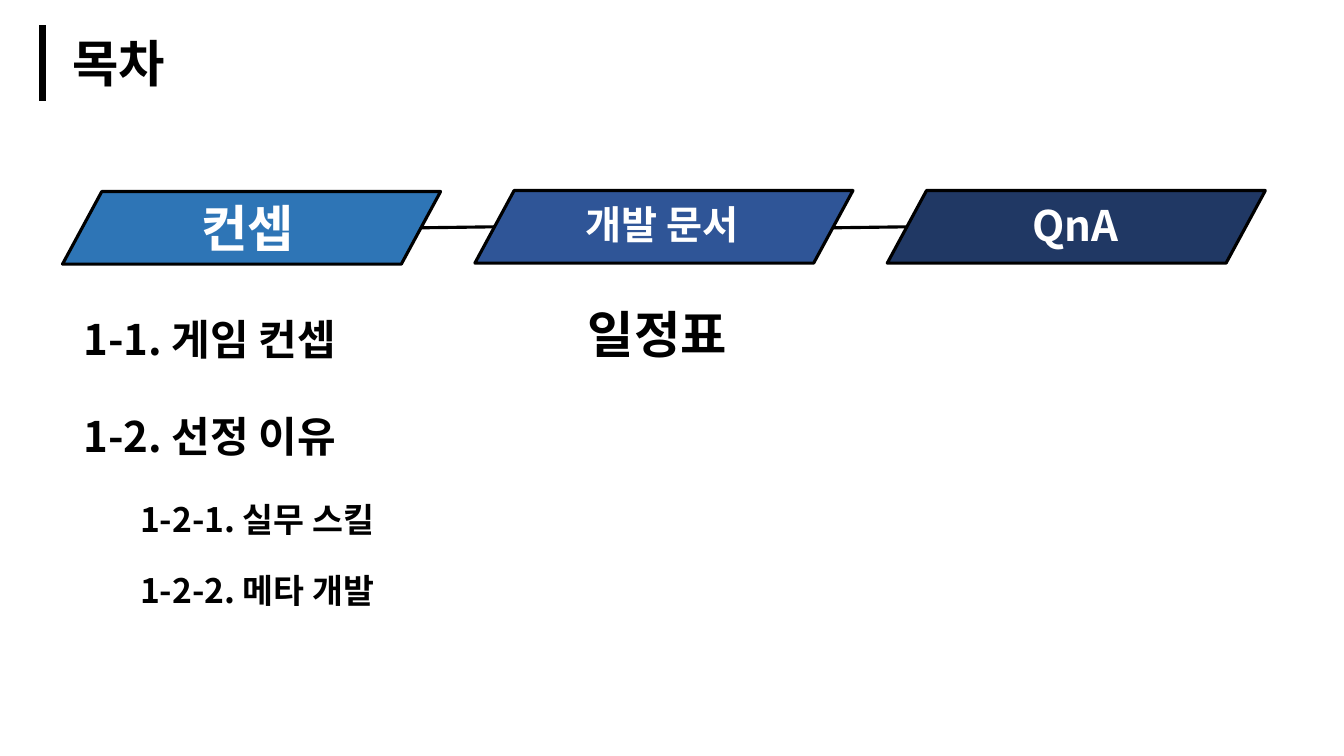
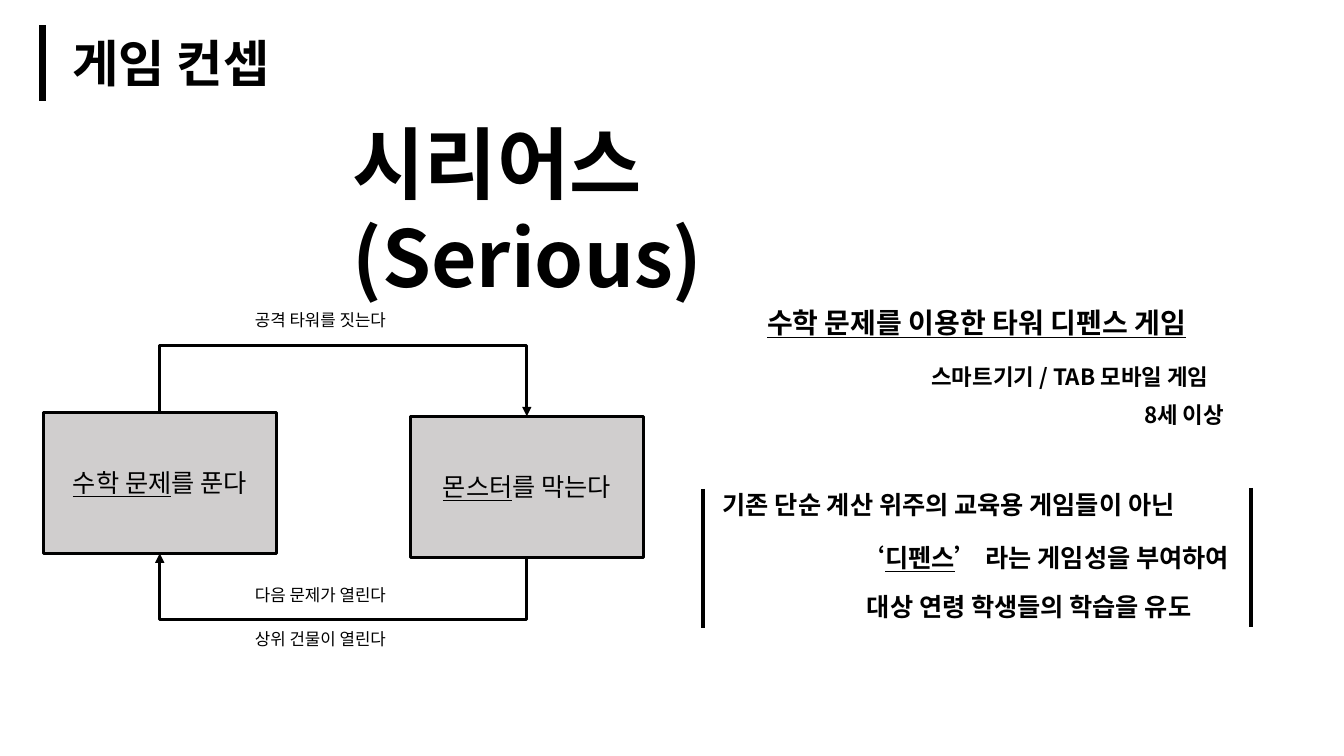
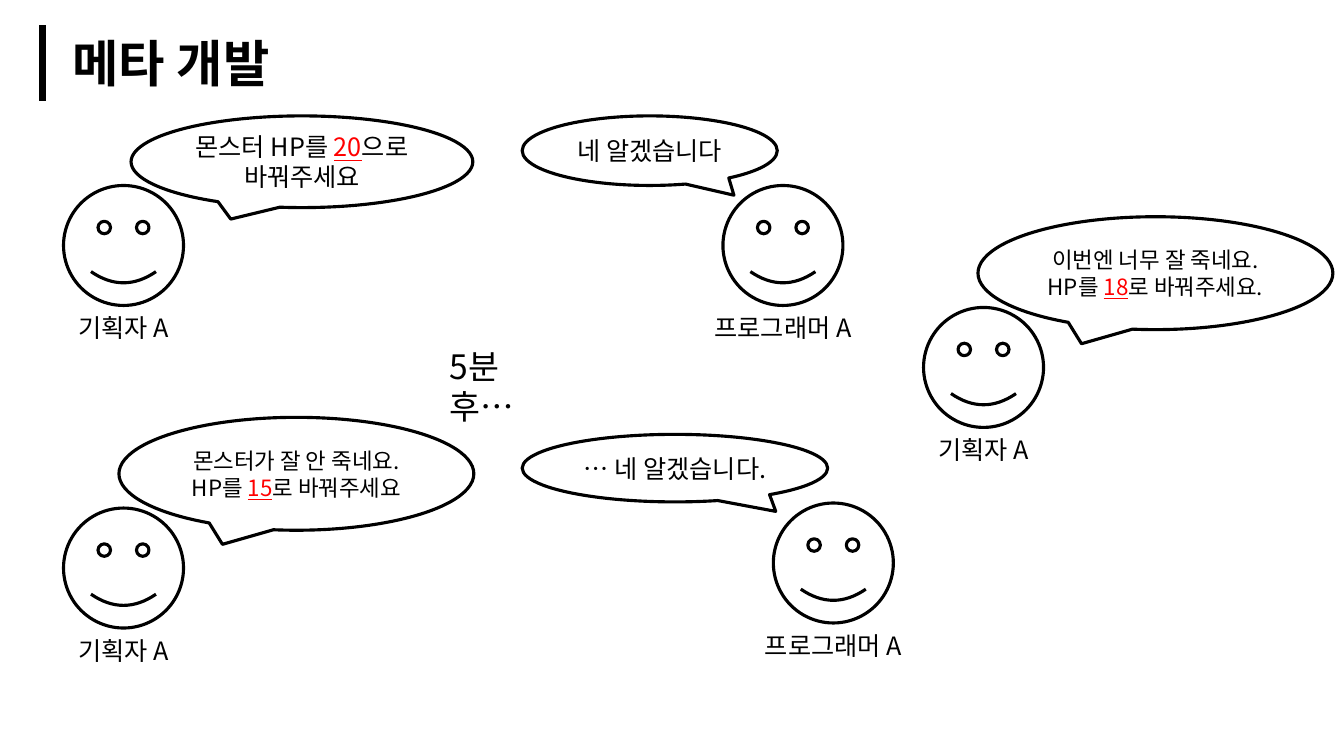
from pptx import Presentation
from pptx.dml.color import RGBColor
from pptx.enum.shapes import MSO_CONNECTOR as LINE, MSO_SHAPE as SHAPE
from pptx.enum.text import MSO_ANCHOR as ANCHOR, PP_ALIGN as ALIGN
from pptx.oxml.ns import qn
from pptx.util import Inches, Pt
from lxml.etree import SubElement

BLACK = RGBColor(0, 0, 0)
WHITE = RGBColor(255, 255, 255)
RED = RGBColor(255, 0, 0)
GRAY = RGBColor(0xD0, 0xCE, 0xCE)
STAGE_BLUES = (RGBColor(0x2E, 0x75, 0xB6), RGBColor(0x2F, 0x55, 0x97),
               RGBColor(0x20, 0x38, 0x64))
BODY_FONT = "Noto Sans CJK KR"
TITLE_FONT = "Montserrat"
OUTLINE = 2.25


def write(frame, lines, size, color=BLACK, bold=False, font=BODY_FONT,
          align=ALIGN.LEFT, accent=None):
    """Fill a frame; each line is a list of pieces, and (piece,) is underlined."""
    frame.word_wrap = True
    for index, pieces in enumerate(lines):
        paragraph = frame.paragraphs[0] if index == 0 else frame.add_paragraph()
        paragraph.alignment = align
        for piece in pieces:
            marked = isinstance(piece, tuple)
            run = paragraph.add_run()
            run.text = piece[0] if marked else piece
            run.font.size = Pt(size)
            run.font.bold = bold
            run.font.underline = marked
            run.font.color.rgb = accent if marked and accent else color
            run.font.name = font
            SubElement(run.font._element, qn("a:ea")).set("typeface", BODY_FONT)


def label(slide, box, pieces, size, **style):
    """Place one text box holding a single paragraph."""
    frame = slide.shapes.add_textbox(*map(Inches, box)).text_frame
    write(frame, [pieces], size, **style)


def outlined(slide, kind, box, fill=None, adjustments=()):
    """Place a black-outlined preset shape, hollow unless a fill is given."""
    shape = slide.shapes.add_shape(kind, *map(Inches, box))
    shape.shadow.inherit = False
    for index, value in enumerate(adjustments):
        shape.adjustments[index] = value
    if fill is None:
        shape.fill.background()
    else:
        shape.fill.solid()
        shape.fill.fore_color.rgb = fill
    shape.line.color.rgb = BLACK
    shape.line.width = Pt(OUTLINE)
    return shape


def line(slide, start, end, width=OUTLINE, kind=LINE.STRAIGHT):
    """Draw a black connector without a shadow."""
    connector = slide.shapes.add_connector(kind, *map(Inches, (*start, *end)))
    connector.line.color.rgb = BLACK
    connector.line.width = Pt(width)
    SubElement(connector._element.spPr, qn("a:effectLst"))
    return connector


def loop_arrow(slide, start, end, reach, angle):
    """Draw a U-shaped arrow that reaches past its start, turned by angle."""
    (x1, y1), (x2, y2) = start, end
    rise, span = abs(y2 - y1), abs(x2 - x1)
    left, top = (x1 + x2 - rise) / 2, (y1 + y2 - span) / 2
    arrow = line(slide, (left, top), (left + rise, top + span), kind=LINE.ELBOW)
    properties = arrow._element.spPr
    frame = properties.find(qn("a:xfrm"))
    frame.set("rot", str(angle * 60000))
    frame.set("flipH", "1")
    geometry = properties.find(qn("a:prstGeom"))
    guides = geometry.find(qn("a:avLst"))
    if guides is None:
        guides = SubElement(geometry, qn("a:avLst"))
    guide = SubElement(guides, qn("a:gd"))
    guide.set("name", "adj1")
    guide.set("fmla", f"val {round(-reach / rise * 100000)}")
    SubElement(properties.find(qn("a:ln")), qn("a:tailEnd")).set("type", "triangle")


def titled_slide(deck, title):
    """Add a blank slide with the title and its vertical bar."""
    slide = deck.slides.add_slide(deck.slide_layouts[6])
    label(slide, (0.62, 0.27, 2.38, 0.71), [title], 36, bold=True, font=TITLE_FONT)
    line(slide, (0.42, 0.25), (0.42, 1), 5)
    return slide


def stage_band(slide, left, top, width, height):
    """Draw the three stages, evenly spaced and joined by lines."""
    pitch = 4.09
    headings = (("컨셉", 36, 1.28, 0.01, 1.21), ("개발 문서", 28, 1, 0.05, 1.91),
                ("QnA", 30, 1.34, 0.04, 1.08))
    for index, (heading, size, dx, dy, text_width) in enumerate(headings):
        x = left + index * pitch
        y = top + (0.01 if index == 0 else 0)
        outlined(slide, SHAPE.PARALLELOGRAM, (x, y, width, height),
                 STAGE_BLUES[index], [0.541])
        label(slide, (x + dx, y + dy, text_width, 0.6), [heading], size,
              color=WHITE, bold=True)
        if index:
            line(slide, (x - 0.53, top + 0.37), (x + 0.2, top + 0.36))


def contents_slide(deck):
    """Build the table of contents."""
    slide = titled_slide(deck, "목차")
    stage_band(slide, 0.62, 1.89, 3.75, 0.72)
    entries = (("1-1. 게임 컨셉", 0.73, 3.06, 30), ("1-2. 선정 이유", 0.73, 4.02, 30),
               ("1-2-1. 실무 스킬", 1.29, 4.9, 24),
               ("1-2-2. 메타 개발", 1.29, 5.6, 24), ("일정표", 5.73, 2.96, 36))
    for entry, left, top, size in entries:
        label(slide, (left, top, 2.95, 0.6), [entry], size, bold=True)


def game_loop(slide, left, top):
    """Draw the two actions and the arrows that lead round them."""
    width, height, pitch, drop = 2.31, 1.4, 3.64, 0.04
    actions = ([("수학 문제",), "를 푼다"], [("몬스터",), "를 막는다"])
    for index, action in enumerate(actions):
        box = (left + index * pitch, top + index * drop, width, height)
        card = outlined(slide, SHAPE.RECTANGLE, box, GRAY)
        card.text_frame.vertical_anchor = ANCHOR.MIDDLE
        write(card.text_frame, [action], 18, align=ALIGN.CENTER)
    solve_x = left + width / 2
    defend_x = solve_x + pitch
    bottom = top + height
    loop_arrow(slide, (solve_x, top), (defend_x, top + drop), 0.66, 270)
    loop_arrow(slide, (defend_x, bottom + drop), (solve_x, bottom), 0.61, 90)
    results = (("공격 타워를 짓는다", -1.07), ("다음 문제가 열린다", 1.66),
               ("상위 건물이 열린다", 2.1))
    for result, dy in results:
        label(slide, (left + 2, top + dy, 1.94, 0.36), [result], 12)


def game_summary(slide):
    """Write the description of the game and the barred statement of intent."""
    facts = (([("수학 문제를 이용한 타워 디펜스 게임",)], 7.51, 2.98, 4.9, 20),
             (["스마트기기 / TAB 모바일 게임"], 9.14, 3.55, 3.23, 16),
             (["8세 이상"], 11.25, 3.93, 1.08, 16),
             (["기존 단순 계산 위주의 교육용 게임들이 아닌"], 7.07, 4.81, 5.37, 18),
             (["‘", ("디펜스",), "’ 라는 게임성을 부여하여"], 8.43, 5.33, 3.98, 18),
             (["대상 연령 학생들의 학습을 유도"], 8.5, 5.82, 3.84, 18))
    for pieces, left, top, width, size in facts:
        label(slide, (left, top, width, 0.4), pieces, size, bold=True)
    for x, top in ((6.97, 4.85), (12.41, 4.84)):
        line(slide, (x, top), (x, top + 1.38), 3)


def concept_slide(deck):
    """Build the game concept slide."""
    slide = titled_slide(deck, "게임 컨셉")
    label(slide, (3.4, 1.09, 6.39, 1.04), ["시리어스(Serious)"], 56, bold=True)
    game_loop(slide, 0.43, 4.09)
    game_summary(slide)


def speaker(slide, left, top, role):
    """Draw a smiling face with the role centred below it."""
    face = 1.19
    outlined(slide, SHAPE.SMILEY_FACE, (left, top, face, face))
    width = 1.72
    label(slide, (left + (face - width) / 2, top + 1.21, width, 0.4), [role], 18,
          align=ALIGN.CENTER)


def speech(slide, box, lines, size, tail=()):
    """Draw a speech bubble whose marked pieces are red."""
    bubble = outlined(slide, SHAPE.OVAL_CALLOUT, box, adjustments=tail)
    bubble.text_frame.vertical_anchor = ANCHOR.MIDDLE
    write(bubble.text_frame, lines, size, align=ALIGN.CENTER, accent=RED)


def meta_slide(deck):
    """Build the dialogue between planner and programmer."""
    slide = titled_slide(deck, "메타 개발")
    planner, programmer = "기획자 A", "프로그래머 A"
    for left, top, role in ((0.63, 1.84, planner), (7.17, 1.84, programmer),
                            (0.63, 5.04, planner), (7.67, 4.99, programmer),
                            (9.16, 3.05, planner)):
        speaker(slide, left, top, role)
    right_tail = (0.33, 0.64)
    speech(slide, (1.3, 1.15, 3.39, 0.91),
           [["몬스터 HP를 ", ("20",), "으로 바꿔주세요"]], 18)
    speech(slide, (5.18, 1.15, 2.53, 0.69), [["네 알겠습니다"]], 18, right_tail)
    speech(slide, (1.18, 4.14, 3.52, 1.12),
           [["몬스터가 잘 안 죽네요."], ["HP를 ", ("15",), "로 바꿔주세요"]], 16)
    speech(slide, (5.18, 4.31, 3.03, 0.67), [["… 네 알겠습니다."]], 18, right_tail)
    speech(slide, (9.7, 2.15, 3.52, 1.12),
           [["이번엔 너무 잘 죽네요."], ["HP를 ", ("18",), "로 바꿔주세요."]], 16)
    label(slide, (4.36, 3.38, 1.4, 0.5), ["5분 후…"], 24)


deck = Presentation()
deck.slide_width, deck.slide_height = Inches(13.33), Inches(7.5)
contents_slide(deck)
concept_slide(deck)
meta_slide(deck)
deck.save("out.pptx")
